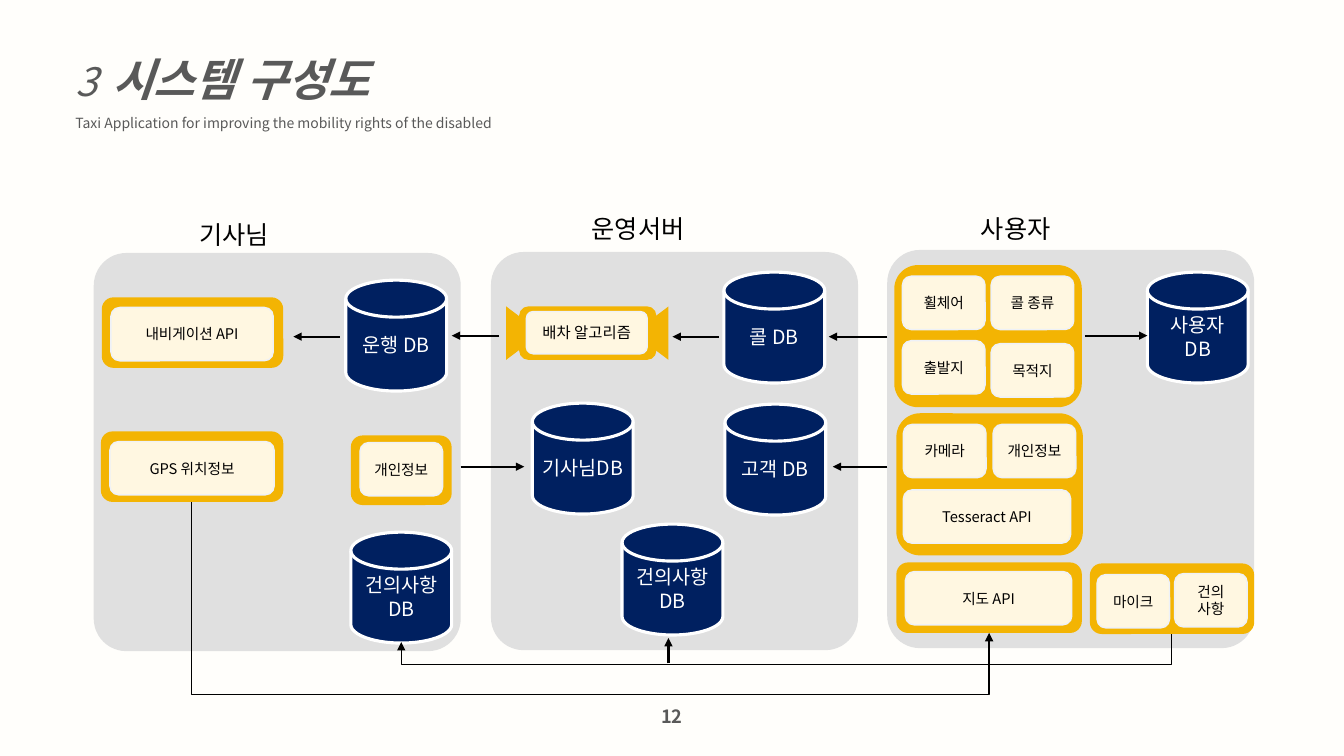
from lxml.etree import SubElement
from pptx import Presentation
from pptx.dml.color import RGBColor
from pptx.enum.shapes import MSO_CONNECTOR, MSO_SHAPE
from pptx.enum.text import MSO_ANCHOR, PP_ALIGN
from pptx.oxml.ns import qn
from pptx.util import Inches, Pt

FONT = "Noto Sans CJK KR"
COLORS = {
    "page": "FFFEFB", "panel": "E0E0E0", "frame": "F3B403", "card": "FFF7E1",
    "card_line": "EEF1F8", "db": "002060", "white": "FFFFFF",
    "black": "000000", "title": "595959",
}


def rgb(name):
    """Return the named colour."""
    return RGBColor.from_string(COLORS[name])


def style_run(r, size, color, bold=False, italic=False):
    """Format one run, with the font set for both scripts."""
    r.font.size, r.font.bold, r.font.italic = Pt(size), bold, italic
    r.font.name = FONT
    r.font.color.rgb = rgb(color)
    SubElement(r._r.get_or_add_rPr(), qn("a:ea"), typeface=FONT)


def add_text(slide, box, paragraphs, align=PP_ALIGN.LEFT, spacing=None):
    """Add a text box whose paragraphs are lists of (text, style) runs."""
    tf = slide.shapes.add_textbox(*map(Inches, box)).text_frame
    tf.word_wrap = True
    for i, runs in enumerate(paragraphs):
        p = tf.add_paragraph() if i else tf.paragraphs[0]
        p.alignment, p.line_spacing = align, spacing
        for text, style in runs:
            r = p.add_run()
            r.text = text
            style_run(r, *style)


def add_block(slide, kind, box, fill, line=None, width=1, text="", size=10.5, color="black"):
    """Add a filled preset shape with an optional outline and centred text."""
    sp = slide.shapes.add_shape(kind, *map(Inches, box))
    sp.shadow.inherit = False
    sp.fill.solid()
    sp.fill.fore_color.rgb = rgb(fill)
    if line:
        sp.line.color.rgb = rgb(line)
        sp.line.width = Pt(width)
    else:
        sp.line.fill.background()
    if text:
        tf = sp.text_frame
        tf.text = text
        tf.word_wrap = True
        tf.vertical_anchor = MSO_ANCHOR.MIDDLE
        for p in tf.paragraphs:
            p.alignment = PP_ALIGN.CENTER
            for r in p.runs:
                style_run(r, size, color)
    return sp


def add_panel(slide, left, top, title, title_box):
    """Add a grey panel and the heading above it."""
    sp = add_block(slide, MSO_SHAPE.ROUNDED_RECTANGLE, (left, top, 3.64, 3.95), "panel")
    sp.adjustments[0] = 0.089
    add_text(slide, title_box, [[(title, (18, "black"))]])


def add_frame(slide, *box):
    """Add a yellow rounded frame."""
    add_block(slide, MSO_SHAPE.ROUNDED_RECTANGLE, box, "frame")


def add_card(slide, text, left, top, width=0.82, height=0.53, size=10.5):
    """Add a cream card with a label."""
    add_block(slide, MSO_SHAPE.ROUNDED_RECTANGLE, (left, top, width, height),
              "card", "card_line", 1, text, size)


def add_database(slide, text, left, top):
    """Add a navy database cylinder."""
    add_block(slide, MSO_SHAPE.FLOWCHART_MAGNETIC_DISK, (left, top, 1, 1.1),
              "db", "white", 2.25, text, 14, "white")


def style_arrow(cxn, width):
    """Make a connector a black arrow without shadow."""
    cxn.line.color.rgb = rgb("black")
    cxn.line.width = Pt(width)
    SubElement(cxn.line._get_or_add_ln(), qn("a:tailEnd"), type="triangle")
    SubElement(cxn._element.spPr, qn("a:effectLst"))


def add_arrow(slide, *ends):
    """Add a straight arrow."""
    cxn = slide.shapes.add_connector(MSO_CONNECTOR.STRAIGHT, *map(Inches, ends))
    style_arrow(cxn, 1.5)


def add_loop(slide, x1, y1, x2, y2, floor):
    """Add an elbow arrow that runs down to floor, across, and up again."""
    drop, span = y2 - y1, abs(x2 - x1)
    left, top = (x1 + x2 - drop) / 2, (y1 + y2 - span) / 2
    cxn = slide.shapes.add_connector(
        MSO_CONNECTOR.ELBOW, *map(Inches, (left, top, left + drop, top + span)))
    xfrm = cxn._element.spPr.find(qn("a:xfrm"))
    rightward = x2 > x1
    xfrm.set("rot", str((270 if rightward else 90) * 60000))
    if rightward:
        xfrm.set("flipH", "1")
    guides = cxn._element.spPr.find(qn("a:prstGeom")).get_or_add_avLst()
    SubElement(guides, qn("a:gd"), name="adj1",
               fmla=f"val {round((floor - y1) / drop * 100000)}")
    style_arrow(cxn, 1)


def main():
    """Build the system diagram slide."""
    prs = Presentation()
    prs.slide_width, prs.slide_height = Inches(13.33), Inches(7.5)
    slide = prs.slides.add_slide(prs.slide_layouts[6])
    slide.background.fill.solid()
    slide.background.fill.fore_color.rgb = rgb("page")

    add_text(slide, (0.65, 0.2, 6.67, 1.14), [
        [("3", (28, "title", False, True)), ("  ", (24, "title", False, True)),
         ("시스템 구성도", (32, "title", True, True))],
        [("Taxi Application for improving the mobility rights of the disabled", (10, "title"))],
    ], spacing=1.5)
    add_text(slide, (0, 6.95, 13.33, 0.32), [[("12", (13, "title", True))]], PP_ALIGN.CENTER)

    add_panel(slide, 4.87, 2.5, "운영서버", (5.77, 2.07, 1.19, 0.4))
    add_panel(slide, 0.93, 2.51, "기사님", (1.88, 2.13, 1, 0.4))
    add_panel(slide, 8.8, 2.48, "사용자", (9.63, 2.07, 1, 0.4))

    for left, angle in ((4.93, 90), (6.19, 270)):
        sp = add_block(slide, MSO_SHAPE.ISOSCELES_TRIANGLE, (left, 3.13, 0.53, 0.35), "frame")
        sp.rotation = angle

    for box in (
        (8.87, 2.63, 1.86, 1.41), (8.89, 4.1, 1.85, 1.41), (8.89, 5.58, 1.84, 0.7),
        (10.81, 5.59, 1.63, 0.7), (5.15, 3.04, 1.36, 0.53), (1.01, 2.95, 1.8, 0.7),
        (1, 4.28, 1.81, 0.7), (3.48, 4.32, 1, 0.69),
    ):
        add_frame(slide, *box)

    for card in (
        ("휠체어", 8.95, 2.74), ("콜 종류", 9.83, 2.74),
        ("출발지", 8.95, 3.38), ("목적지", 9.83, 3.41),
        ("카메라", 8.96, 4.21), ("개인정보", 9.85, 4.21),
        ("Tesseract API", 8.96, 4.86, 1.66), ("지도 API", 8.98, 5.67, 1.65),
        ("마이크", 10.88, 5.7, 0.72), ("건의\n사항", 11.65, 5.69, 0.72),
        ("배차 알고리즘", 5.22, 3.09, 1.2, 0.42, 11),
        ("내비게이션 API", 1.1, 3.05, 1.61), ("GPS 위치정보", 1.09, 4.38, 1.63),
        ("개인정보", 3.57, 4.39),
    ):
        add_card(slide, *card)

    for database in (
        ("운행 DB", 3.43, 2.78), ("건의사항DB", 3.48, 5.28), ("콜 DB", 7.18, 2.7),
        ("기사님DB", 5.28, 4), ("고객 DB", 7.19, 4.01), ("건의사항DB", 6.17, 5.2),
        ("사용자 DB", 11.38, 2.7),
    ):
        add_database(slide, *database)

    for ends in (
        (8.8, 3.34, 8.22, 3.34), (7.13, 3.34, 6.67, 3.34), (4.95, 3.33, 4.48, 3.33),
        (3.37, 3.34, 2.91, 3.34), (10.76, 3.33, 11.38, 3.33), (8.8, 4.63, 8.26, 4.63),
        (4.57, 4.63, 5.2, 4.63), (6.63, 6.58, 6.63, 6.33),
    ):
        add_arrow(slide, *ends)
    add_loop(slide, 1.9, 4.98, 9.81, 6.28, 6.89)
    add_loop(slide, 11.62, 6.29, 3.98, 6.37, 6.59)

    prs.save("out.pptx")


if __name__ == "__main__":
    main()
